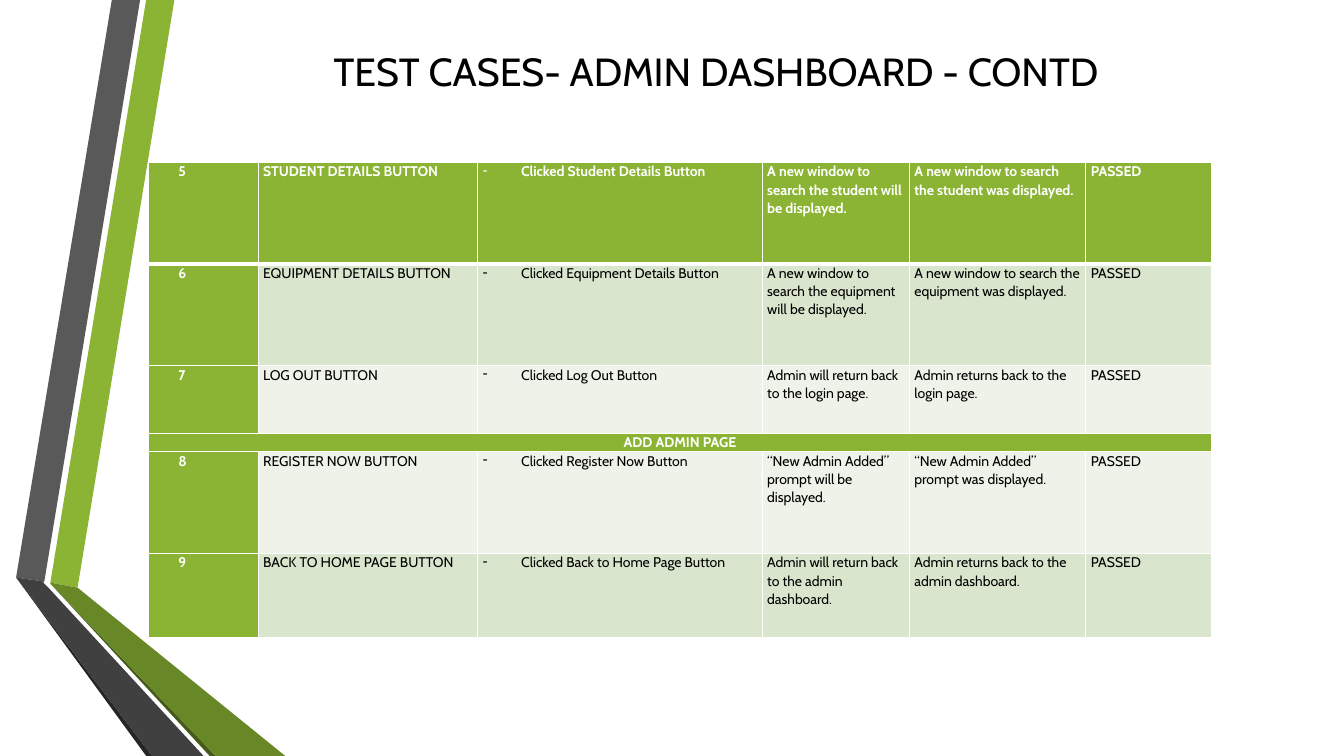
from lxml import etree
from pptx import Presentation
from pptx.dml.color import RGBColor
from pptx.enum.text import MSO_ANCHOR, PP_ALIGN
from pptx.oxml.ns import qn
from pptx.util import Inches, Pt

CENTER = PP_ALIGN.CENTER
MIDDLE = MSO_ANCHOR.MIDDLE

FONT = "Cabin"
COLORS = {
    "green": "8BB434", "dark green": "688727", "deep green": "465A1A",
    "gray": "595959", "dark gray": "404040", "deep gray": "262626",
    "band": "DAE5CE", "light band": "EEF2E8",
    "white": "FFFFFF", "black": "000000",
}

RIBBONS = [
    ("green", [(0.5, 5.78), (0.77, 5.83), (1.73, 0), (1.45, 0)]),
    ("gray", [(1.39, 0), (1.11, 0), (0.16, 5.73), (0.44, 5.77)]),
    ("deep gray", [(0.16, 5.73), (1.45, 7.5), (1.51, 7.5)]),
    ("deep green", [(0.5, 5.79), (2.08, 7.5), (2.14, 7.5)]),
    ("dark green", [(0.5, 5.79), (2.14, 7.5), (2.83, 7.5), (0.77, 5.83), (0.5, 5.78)]),
    ("dark gray", [(2.02, 7.5), (0.48, 5.83), (0.43, 5.78), (0.44, 5.77),
                   (0.16, 5.73), (1.51, 7.5)]),
]

COL_WIDTHS = [1.09, 2.18, 2.82, 1.46, 1.75, 1.25]
ROW_HEIGHTS = [1.01, 1.01, 0.67, 0.16, 1.01, 0.84]
STEP_COL = 2
TEST_CASES = [
    ["5", "STUDENT DETAILS BUTTON", "Clicked Student Details Button",
     "A new window to search the student will be displayed.",
     "A new window to search the student was displayed.", "PASSED"],
    ["6", "EQUIPMENT DETAILS BUTTON", "Clicked Equipment Details Button",
     "A new window to search the equipment will be displayed.",
     "A new window to search the equipment was displayed.", "PASSED"],
    ["7", "LOG OUT BUTTON", "Clicked Log Out Button",
     "Admin will return back to the login page.",
     "Admin returns back to the login page.", "PASSED"],
    ["ADD ADMIN PAGE"],
    ["8", "REGISTER NOW BUTTON", "Clicked Register Now Button",
     "“New Admin Added” prompt will be displayed.",
     "“New Admin Added” prompt was displayed.", "PASSED"],
    ["9", "BACK TO HOME PAGE BUTTON", "Clicked Back to Home Page Button",
     "Admin will return back to the admin dashboard.",
     "Admin returns back to the admin dashboard.", "PASSED"],
]


def rgb(name):
    return RGBColor.from_string(COLORS[name])


def write(tf, text, size=10, color="black", bold=False, align=None,
          line=None, after=None, indent=0, bullet=None):
    """Fill the first paragraph; a bullet hangs by the whole indent."""
    p = tf.paragraphs[0]
    p.alignment, p.line_spacing = align, line
    if after is not None:
        p.space_after = Pt(after)
    pPr = p._p.get_or_add_pPr()
    if indent:
        pPr.set("marL", str(Inches(indent)))
        pPr.set("indent", str(-Inches(indent) if bullet else 0))
    if bullet:
        etree.SubElement(pPr, qn("a:buChar")).set("char", bullet)
    r = p.add_run()
    r.text = text
    r.font.name, r.font.size, r.font.bold = FONT, Pt(size), bold
    r.font.color.rgb = rgb(color)


def set_borders(cell, top=1, bottom=1):
    """Draw white cell borders, widths in points."""
    tcPr = cell._tc.get_or_add_tcPr()
    for side, width in (("L", 1), ("R", 1), ("T", top), ("B", bottom)):
        ln = etree.SubElement(tcPr, qn(f"a:ln{side}"), w=str(Pt(width)))
        fill = etree.SubElement(ln, qn("a:solidFill"))
        etree.SubElement(fill, qn("a:srgbClr"), val=COLORS["white"])


class SlideBuilder:
    def __init__(self, prs):
        self.s = prs.slides.add_slide(prs.slide_layouts[5])

    def title(self, text, x, y, w, h):
        sp = self.s.shapes.title
        sp.left, sp.top, sp.width, sp.height = map(Inches, (x, y, w, h))
        sp.text_frame.vertical_anchor = MIDDLE
        write(sp.text_frame, text, size=28, align=CENTER)

    def ribbon(self, color, points):
        pts = [(Inches(x), Inches(y)) for x, y in points]
        builder = self.s.shapes.build_freeform(*pts[0])
        builder.add_line_segments(pts[1:], close=True)
        sp = builder.convert_to_shape()
        sp.shadow.inherit = False
        sp.fill.solid()
        sp.fill.fore_color.rgb = rgb(color)
        sp.line.fill.background()

    def cell(self, cell, text, fill, top=1, bottom=1, **fmt):
        cell.margin_left = cell.margin_right = Inches(0.05)
        cell.margin_top = cell.margin_bottom = 0
        set_borders(cell, top, bottom)
        cell.fill.solid()
        cell.fill.fore_color.rgb = rgb(fill)
        write(cell.text_frame, text, line=1.07, after=8, **fmt)

    def table(self, rows, x, y):
        frame = self.s.shapes.add_table(
            len(rows), len(COL_WIDTHS), Inches(x), Inches(y),
            Inches(sum(COL_WIDTHS)), Inches(sum(ROW_HEIGHTS)))
        tbl = frame.table
        for col, width in zip(tbl.columns, COL_WIDTHS):
            col.width = Inches(width)
        for row, height in zip(tbl.rows, ROW_HEIGHTS):
            row.height = Inches(height)
        for i, texts in enumerate(rows):
            if len(texts) == 1:
                tbl.cell(i, 0).merge(tbl.cell(i, len(COL_WIDTHS) - 1))
                self.cell(tbl.cell(i, 0), texts[0], "green",
                          color="white", bold=True, align=CENTER)
                continue
            for j, text in enumerate(texts):
                strong = i == 0 or j == 0
                band = "band" if i % 2 else "light band"
                self.cell(tbl.cell(i, j), text, "green" if strong else band,
                          top=3 if i == 1 else 1, bottom=3 if i == 0 else 1,
                          color="white" if strong else "black", bold=strong,
                          indent={0: 0.25, STEP_COL: 0.38}.get(j, 0),
                          bullet="-" if j == STEP_COL else None)


def main():
    prs = Presentation()
    prs.slide_width, prs.slide_height = Inches(13.33), Inches(7.5)
    slide = SlideBuilder(prs)
    for color, points in RIBBONS:
        slide.ribbon(color, points)
    slide.title("TEST CASES- ADMIN DASHBOARD - CONTD", 1.62, 0.23, 10.96, 0.94)
    slide.table(TEST_CASES, 1.47, 1.61)
    prs.save("out.pptx")


if __name__ == "__main__":
    main()
